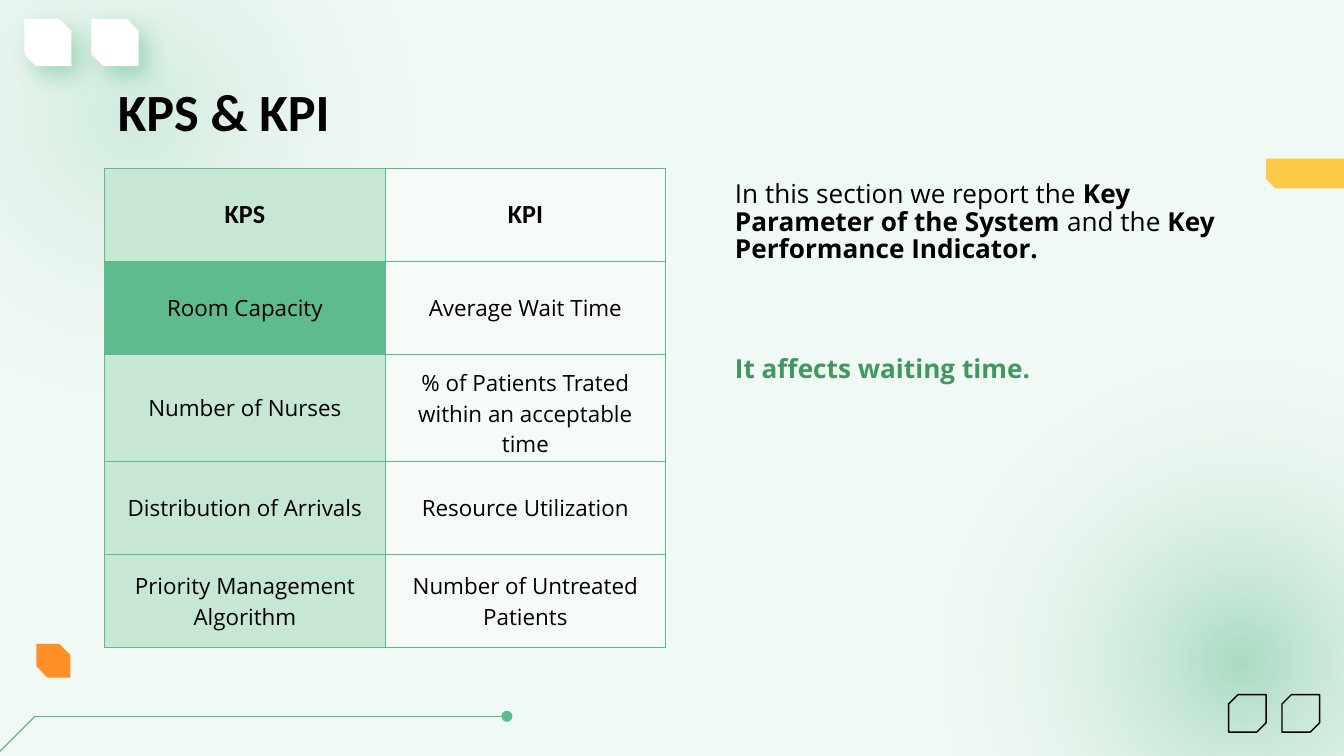
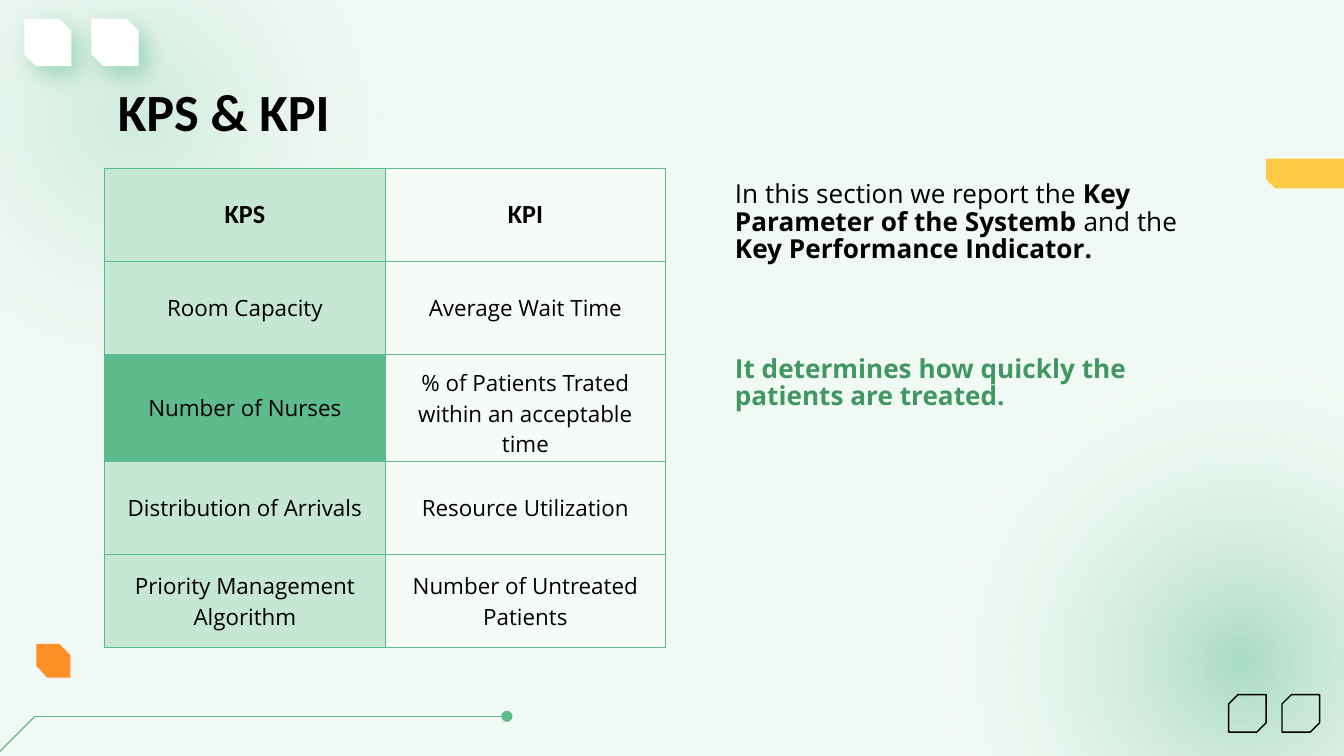
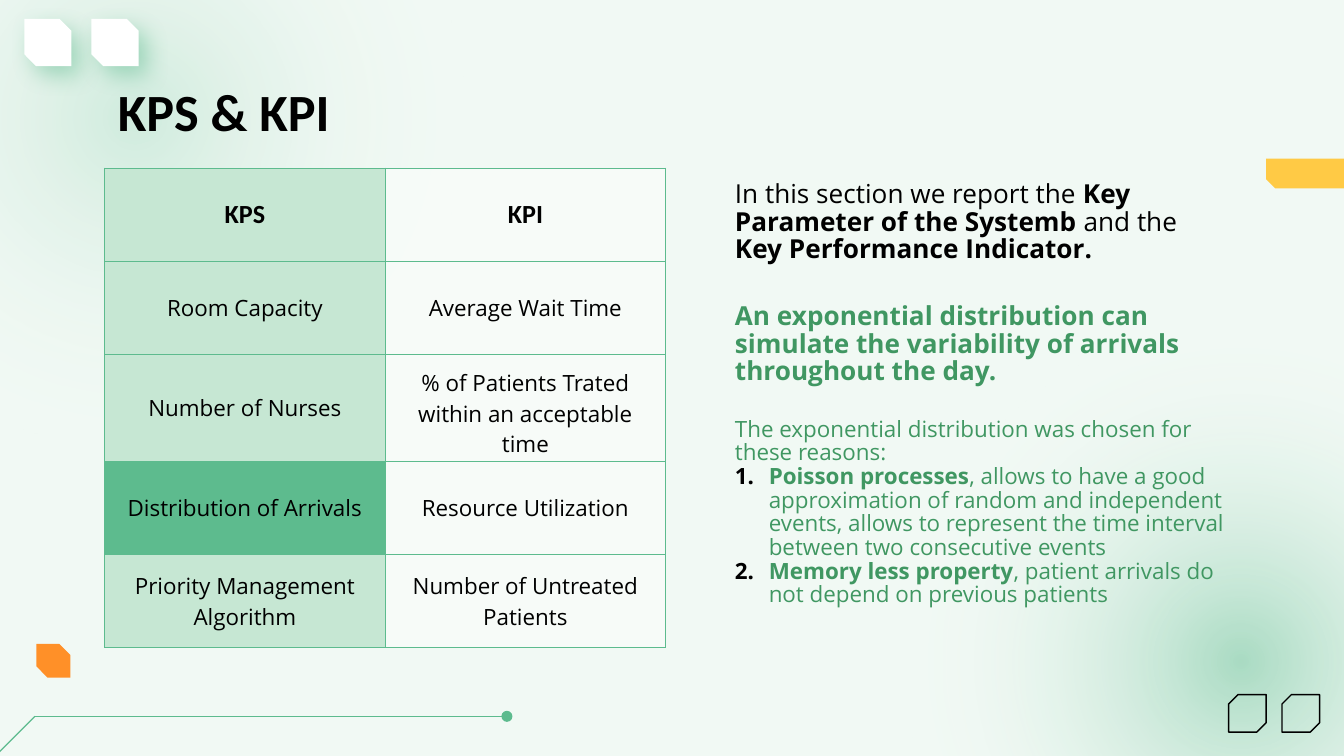
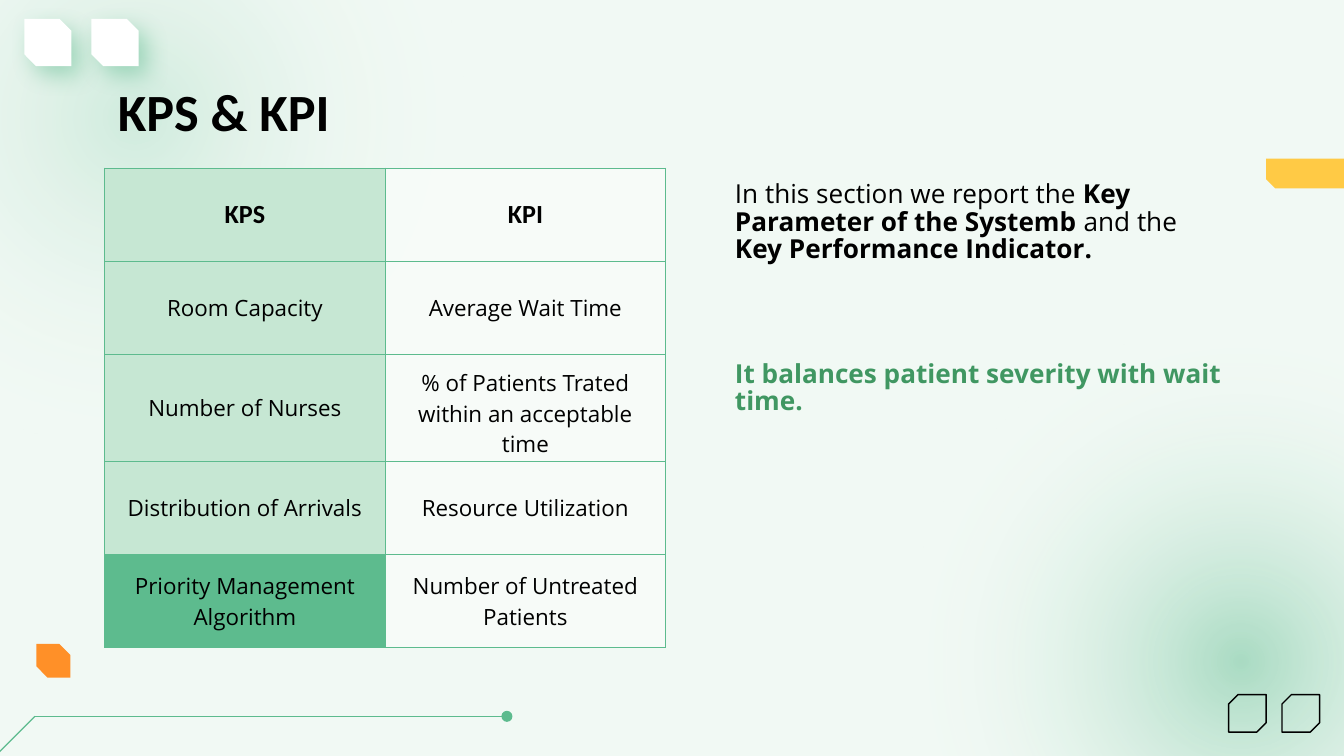
from lxml.etree import SubElement
from pptx import Presentation
from pptx.dml.color import RGBColor
from pptx.enum.shapes import MSO_CONNECTOR, MSO_SHAPE
from pptx.enum.text import MSO_ANCHOR, PP_ALIGN
from pptx.oxml import parse_xml
from pptx.oxml.ns import nsdecls, qn
from pptx.util import Cm, Pt

MINT = RGBColor(0xF1, 0xF9, 0xF4)
PALE_GREEN = RGBColor(0xC6, 0xE7, 0xD3)
GREEN = RGBColor(0x5D, 0xBB, 0x8E)
DARK_GREEN = RGBColor(0x40, 0x97, 0x62)
YELLOW = RGBColor(0xFF, 0xCA, 0x45)
ORANGE = RGBColor(0xFF, 0x90, 0x28)
WHITE = RGBColor(0xFF, 0xFF, 0xFF)
BLACK = RGBColor(0, 0, 0)

HEAD_FONT, BODY_FONT = "Calibri", "Open Sans"
MARGIN = Cm(0.25)
LINE_WIDTH = Pt(0.75)
TEXT_LEFT, TEXT_WIDTH = 13.64, 9.78

TABLE_ROWS = [
    ("KPS", "KPI"),
    ("Room Capacity", "Average Wait Time"),
    ("Number of Nurses", "% of Patients Trated within an acceptable time"),
    ("Distribution of Arrivals", "Resource Utilization"),
    ("Priority Management Algorithm", "Number of Untreated Patients"),
]
INTRO = ("In this section we report the **Key Parameter of the {} **"
         "and the **Key Performance Indicator.**")
REASONS = [
    "**Poisson processes**, allows to have a good approximation of random and "
    "independent events, allows to represent the time interval between two "
    "consecutive events",
    "**Memory less property**, patient arrivals do not depend on previous patients",
]


class Deck:
    """Holds the presentation, its style and the slide being drawn."""

    def __init__(self):
        self.prs = Presentation()
        self.prs.slide_width, self.prs.slide_height = Cm(25.4), Cm(14.29)
        self.s = None

    def new_slide(self):
        self.s = self.prs.slides.add_slide(self.prs.slide_layouts[6])
        fill = self.s.background.fill
        fill.solid()
        fill.fore_color.rgb = MINT
        self.decorate()

    def decorate(self):
        self.glow(17.07, 6.12, 12.73, 48)
        self.glow(-3.73, -4.06, 12.55, 22)
        for left in (0.46, 1.73):
            self.cast_shadow(self.snipped(left, 0.36, 0.89, 0.89, fill=WHITE))
        for left in (23.22, 24.23):
            self.snipped(left, 13.13, 0.71, 0.71, snips=(0.25, 0), line=BLACK)
        self.snipped(23.93, 3, 2.01, 0.56, snips=(0, 0.3), fill=YELLOW)
        self.snipped(0.69, 12.17, 0.64, 0.64, snips=(0, 0.33), fill=ORANGE)
        self.line(-0.2, 14.4, 0.66, 13.54)
        self.line(0.66, 13.54, 9.58, 13.54, tail="oval")

    def shape(self, kind, left, top, width, height):
        sp = self.s.shapes.add_shape(kind, Cm(left), Cm(top), Cm(width), Cm(height))
        sp.shadow.inherit = False
        sp.line.fill.background()
        return sp

    def glow(self, left, top, size, opacity):
        """Circle that fades from green at its centre to nothing."""
        sp = self.shape(MSO_SHAPE.OVAL, left, top, size, size)
        stops = "".join(
            f'<a:gs pos="{pos * 1000}"><a:srgbClr val="{color}">'
            f'<a:alpha val="{alpha * 1000}"/></a:srgbClr></a:gs>'
            for pos, color, alpha in ((0, GREEN, opacity), (71, WHITE, 0), (100, WHITE, 0)))
        grad = parse_xml(
            f'<a:gradFill {nsdecls("a")} rotWithShape="1"><a:gsLst>{stops}</a:gsLst>'
            '<a:path path="circle"><a:fillToRect l="50000" t="50000" r="50000" b="50000"/>'
            '</a:path></a:gradFill>')
        sp.element.spPr.find(qn("a:prstGeom")).addnext(grad)

    def snipped(self, left, top, width, height, snips=(0, 0.25), fill=None, line=None):
        sp = self.shape(MSO_SHAPE.SNIP_2_DIAG_RECTANGLE, left, top, width, height)
        sp.adjustments[0], sp.adjustments[1] = snips
        if fill is None:
            sp.fill.background()
        else:
            sp.fill.solid()
            sp.fill.fore_color.rgb = fill
        if line is not None:
            sp.line.color.rgb = line
            sp.line.width = LINE_WIDTH
        return sp

    def cast_shadow(self, sp):
        effects = sp.element.spPr.find(qn("a:effectLst"))
        shadow = SubElement(effects, qn("a:outerShdw"), blurRad=str(Pt(12.4)),
                            dist=str(Pt(6.8)), dir=str(49 * 60000),
                            algn="bl", rotWithShape="0")
        color = SubElement(shadow, qn("a:srgbClr"), val=str(GREEN))
        SubElement(color, qn("a:alpha"), val="47000")

    def line(self, x1, y1, x2, y2, tail=None):
        cx = self.s.shapes.add_connector(
            MSO_CONNECTOR.STRAIGHT, Cm(x1), Cm(y1), Cm(x2), Cm(y2))
        cx.line.color.rgb = GREEN
        cx.line.width = LINE_WIDTH
        if tail:
            ln = cx.element.spPr.find(qn("a:ln"))
            SubElement(ln, qn("a:tailEnd"), type=tail)
        SubElement(cx.element.spPr, qn("a:effectLst"))

    def text_box(self, left, top, width, height):
        tf = self.s.shapes.add_textbox(Cm(left), Cm(top), Cm(width), Cm(height)).text_frame
        tf.word_wrap = True
        tf.margin_left = tf.margin_right = tf.margin_top = tf.margin_bottom = MARGIN
        return tf

    def add_runs(self, p, text, size, color=BLACK, font=BODY_FONT):
        """Fill a paragraph; parts between ** marks are bold."""
        for i, part in enumerate(text.split("**")):
            if part:
                r = p.add_run()
                r.text = part
                r.font.name, r.font.size = font, Pt(size)
                r.font.bold = i % 2 == 1
                r.font.color.rgb = color

    def title(self, text):
        tf = self.text_box(1.98, 1.24, 21.44, 1.6)
        self.add_runs(tf.paragraphs[0], f"**{text}**", 28, font=HEAD_FONT)

    def body(self, top, height, text, color=BLACK):
        tf = self.text_box(TEXT_LEFT, top, TEXT_WIDTH, height)
        p = tf.paragraphs[0]
        p.line_spacing = 0.88
        self.add_runs(p, text, 14, color)
        return tf

    def add_note(self, tf, text, space_before=0, numbered=False):
        p = tf.add_paragraph()
        p.line_spacing = 0.88
        p.space_before = Pt(space_before)
        if numbered:
            pPr = p._p.get_or_add_pPr()
            pPr.set("marL", str(Cm(0.64)))
            pPr.set("indent", str(-Cm(0.64)))
            color = SubElement(pPr, qn("a:buClr"))
            SubElement(color, qn("a:srgbClr"), val=str(BLACK))
            SubElement(pPr, qn("a:buAutoNum"), type="arabicPeriod")
        self.add_runs(p, text, 12, DARK_GREEN)

    def table(self, rows, active_row):
        """Draw the table with the first cell of active_row highlighted."""
        col_width, row_height = Cm(5.3), Cm(1.76)
        tbl = self.s.shapes.add_table(
            len(rows), 2, Cm(1.98), Cm(3.18), 2 * col_width, len(rows) * row_height).table
        for col in tbl.columns:
            col.width = col_width
        for i, row in enumerate(rows):
            tbl.rows[i].height = row_height
            for j, text in enumerate(row):
                cell = tbl.cell(i, j)
                if j:
                    self.style_cell(cell, WHITE, opacity=44)
                else:
                    self.style_cell(cell, GREEN if i == active_row else PALE_GREEN)
                p = cell.text_frame.paragraphs[0]
                p.alignment = PP_ALIGN.CENTER
                if i == 0:
                    self.add_runs(p, f"**{text}**", 14, font=HEAD_FONT)
                else:
                    self.add_runs(p, text, 12)

    def style_cell(self, cell, color, opacity=None):
        cell.vertical_anchor = MSO_ANCHOR.MIDDLE
        cell.margin_left = cell.margin_right = MARGIN
        cell.margin_top = cell.margin_bottom = MARGIN
        tcPr = cell._tc.get_or_add_tcPr()
        for side in ("lnL", "lnR", "lnT", "lnB"):
            ln = SubElement(tcPr, qn(f"a:{side}"), w=str(LINE_WIDTH))
            SubElement(SubElement(ln, qn("a:solidFill")), qn("a:srgbClr"), val=str(GREEN))
        cell.fill.solid()
        cell.fill.fore_color.rgb = color
        if opacity:
            srgb = tcPr.find(f"{qn('a:solidFill')}/{qn('a:srgbClr')}")
            SubElement(srgb, qn("a:alpha"), val=str(opacity * 1000))

    def kps_slide(self, active_row, system_word, remark, top, height):
        """Draw one slide and return the text frame of its green remark."""
        self.new_slide()
        self.title("KPS & KPI")
        self.body(3.18, 2.31, INTRO.format(system_word))
        self.table(TABLE_ROWS, active_row)
        return self.body(top, height, f"**{remark}**", DARK_GREEN)


def main():
    deck = Deck()
    deck.kps_slide(1, "System", "It affects waiting time.", 6.48, 2.31)
    deck.kps_slide(2, "Systemb", "It determines how quickly the patients are treated.",
                   6.48, 2.31)
    tf = deck.kps_slide(3, "Systemb", "An exponential distribution can simulate the "
                        "variability of arrivals throughout the day.", 5.49, 8.46)
    deck.add_note(tf, "The exponential distribution was chosen for these reasons:",
                  space_before=17)
    for reason in REASONS:
        deck.add_note(tf, reason, numbered=True)
    deck.kps_slide(4, "Systemb", "It balances patient severity with wait time.", 6.58, 5.69)
    deck.prs.save("out.pptx")


if __name__ == "__main__":
    main()
